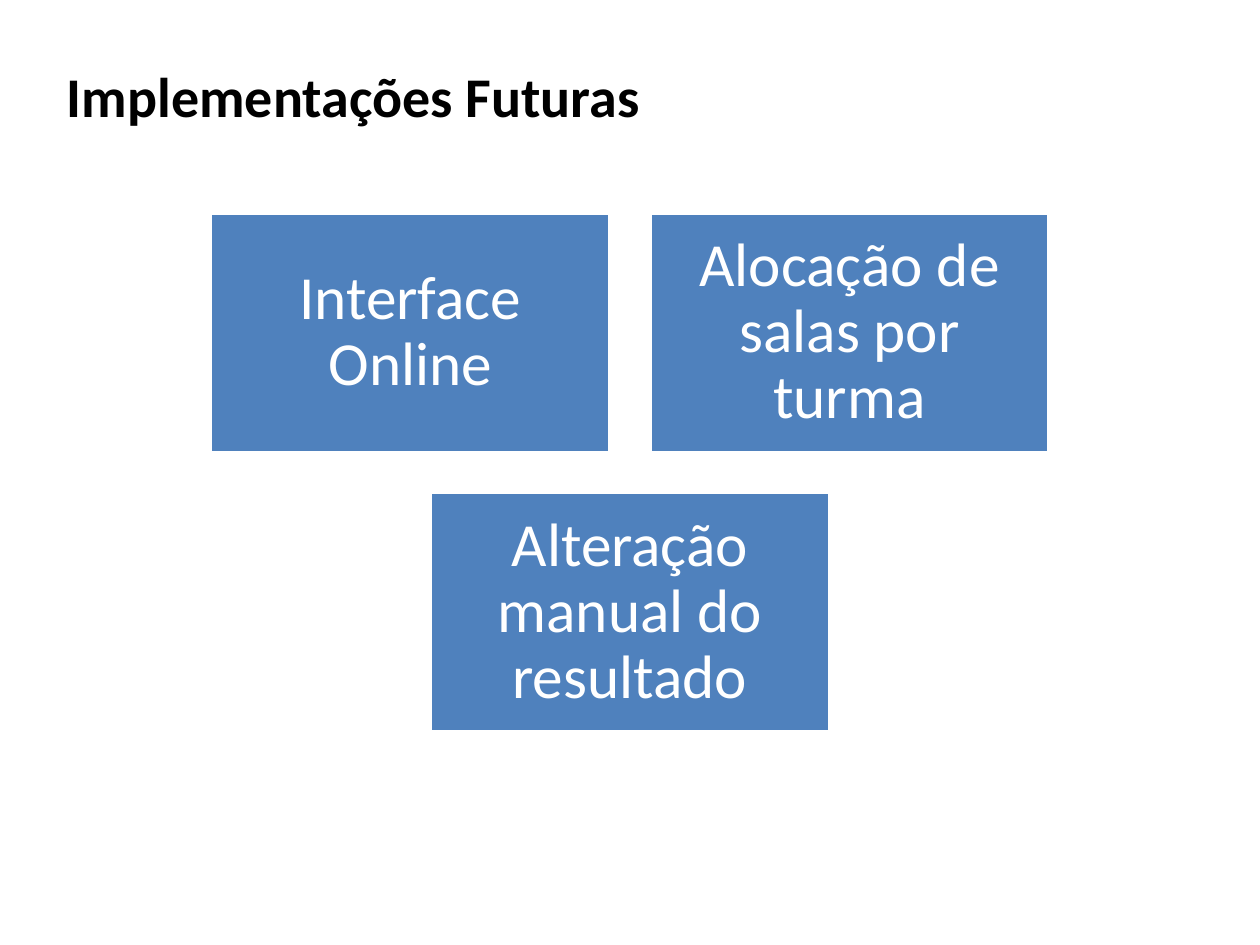
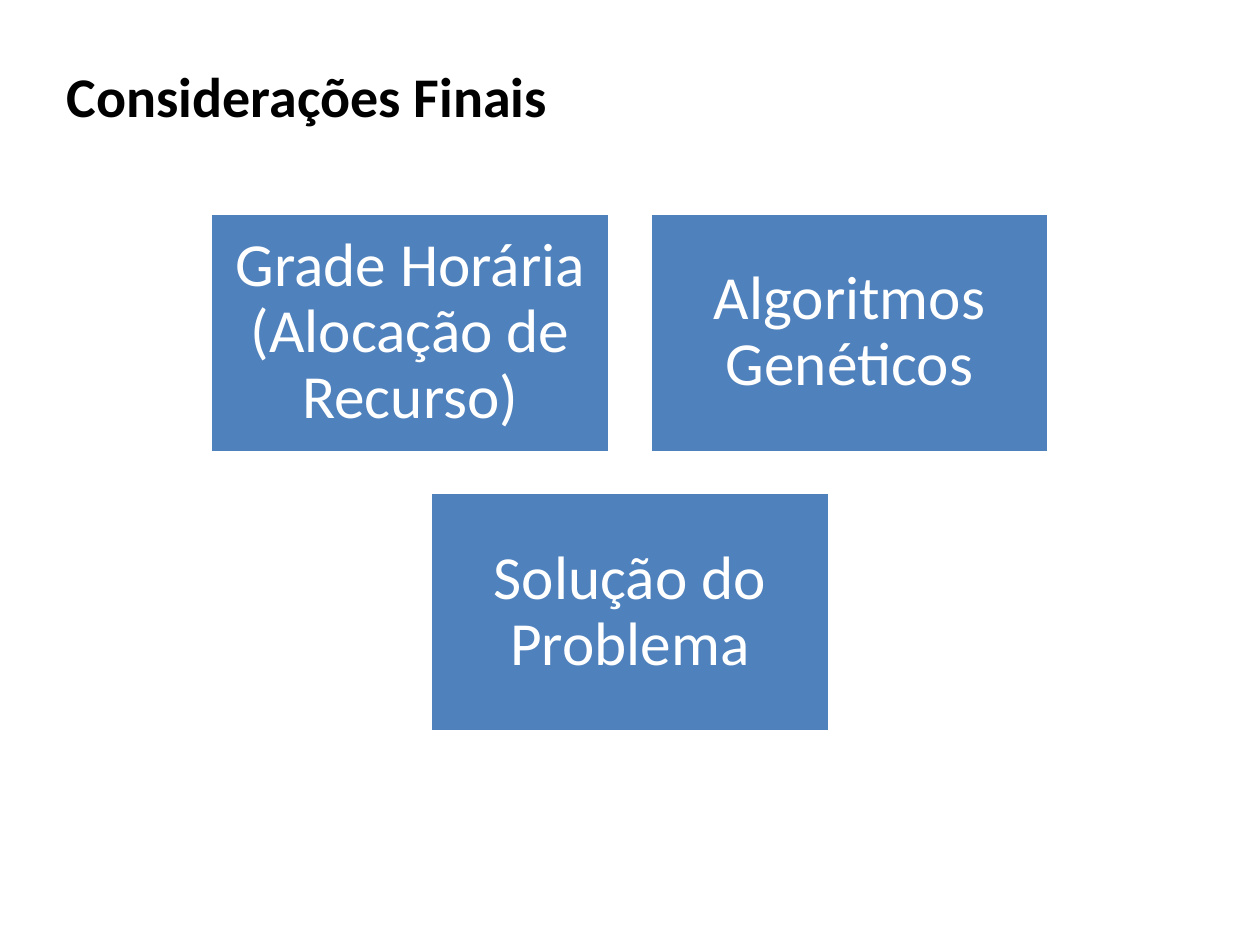
from dataclasses import dataclass

from pptx import Presentation
from pptx.dml.color import RGBColor
from pptx.enum.shapes import MSO_SHAPE
from pptx.enum.text import MSO_ANCHOR, MSO_AUTO_SIZE, PP_ALIGN
from pptx.util import Pt

RECTANGLE = MSO_SHAPE.RECTANGLE
TOP, MIDDLE = MSO_ANCHOR.TOP, MSO_ANCHOR.MIDDLE
LEFT, CENTER = PP_ALIGN.LEFT, PP_ALIGN.CENTER
SHAPE_TO_FIT_TEXT = MSO_AUTO_SIZE.SHAPE_TO_FIT_TEXT
TITLE_ONLY = 5

PAGE_WIDTH, PAGE_HEIGHT = 720, 540
GRID_TOP = 121.8
COLUMNS = 2
BOX_WIDTH = 228.2
BOX_HEIGHT = 0.6 * BOX_WIDTH
GAP = 0.1 * BOX_WIDTH
BOX_INSET = 10.5


@dataclass(frozen=True)
class Theme:
    font: str = "Calibri"
    title_size: int = 32
    box_size: int = 35
    title_color: RGBColor = RGBColor(0x00, 0x00, 0x00)
    box_fill: RGBColor = RGBColor(0x4F, 0x81, 0xBD)
    light: RGBColor = RGBColor(0xFF, 0xFF, 0xFF)


THEME = Theme()

PAGES = {
    "Implementações Futuras": [
        "Interface Online",
        "Alocação de salas por turma",
        "Alteração manual do resultado",
    ],
    "Considerações Finais": [
        "Grade Horária (Alocação de Recurso)",
        "Algoritmos Genéticos",
        "Solução do Problema",
    ],
}


def style_paragraph(para, size, color, alignment, bold=False):
    para.alignment = alignment
    para.font.name = THEME.font
    para.font.size = Pt(size)
    para.font.bold = bold
    para.font.color.rgb = color


def set_title(page, text):
    title = page.shapes.title
    title.left, title.top = Pt(31), Pt(31.7)
    title.width, title.height = Pt(663), Pt(46)
    frame = title.text_frame
    frame.text = text
    frame.auto_size = SHAPE_TO_FIT_TEXT
    frame.vertical_anchor = TOP
    style_paragraph(frame.paragraphs[0], THEME.title_size, THEME.title_color,
                    LEFT, bold=True)


def add_box(page, text, left, top):
    box = page.shapes.add_shape(RECTANGLE, Pt(left), Pt(top),
                                Pt(BOX_WIDTH), Pt(BOX_HEIGHT))
    box.shadow.inherit = False
    box.fill.solid()
    box.fill.fore_color.rgb = THEME.box_fill
    box.line.color.rgb = THEME.light
    box.line.width = Pt(2)
    frame = box.text_frame
    frame.text = text
    frame.word_wrap = True
    frame.vertical_anchor = MIDDLE
    frame.margin_left = frame.margin_right = Pt(BOX_INSET)
    frame.margin_top = frame.margin_bottom = Pt(BOX_INSET)
    para = frame.paragraphs[0]
    style_paragraph(para, THEME.box_size, THEME.light, CENTER)
    para.line_spacing = 0.9


def add_box_grid(page, labels):
    """Lay the labels out in rows, each row centred on the page."""
    for row, start in enumerate(range(0, len(labels), COLUMNS)):
        row_labels = labels[start:start + COLUMNS]
        row_width = len(row_labels) * (BOX_WIDTH + GAP) - GAP
        row_left = (PAGE_WIDTH - row_width) / 2
        top = GRID_TOP + row * (BOX_HEIGHT + GAP)
        for column, label in enumerate(row_labels):
            add_box(page, label, row_left + column * (BOX_WIDTH + GAP), top)


def main():
    deck = Presentation()
    deck.slide_width, deck.slide_height = Pt(PAGE_WIDTH), Pt(PAGE_HEIGHT)
    for title, labels in PAGES.items():
        page = deck.slides.add_slide(deck.slide_layouts[TITLE_ONLY])
        set_title(page, title)
        add_box_grid(page, labels)
    deck.save("out.pptx")


if __name__ == "__main__":
    main()
